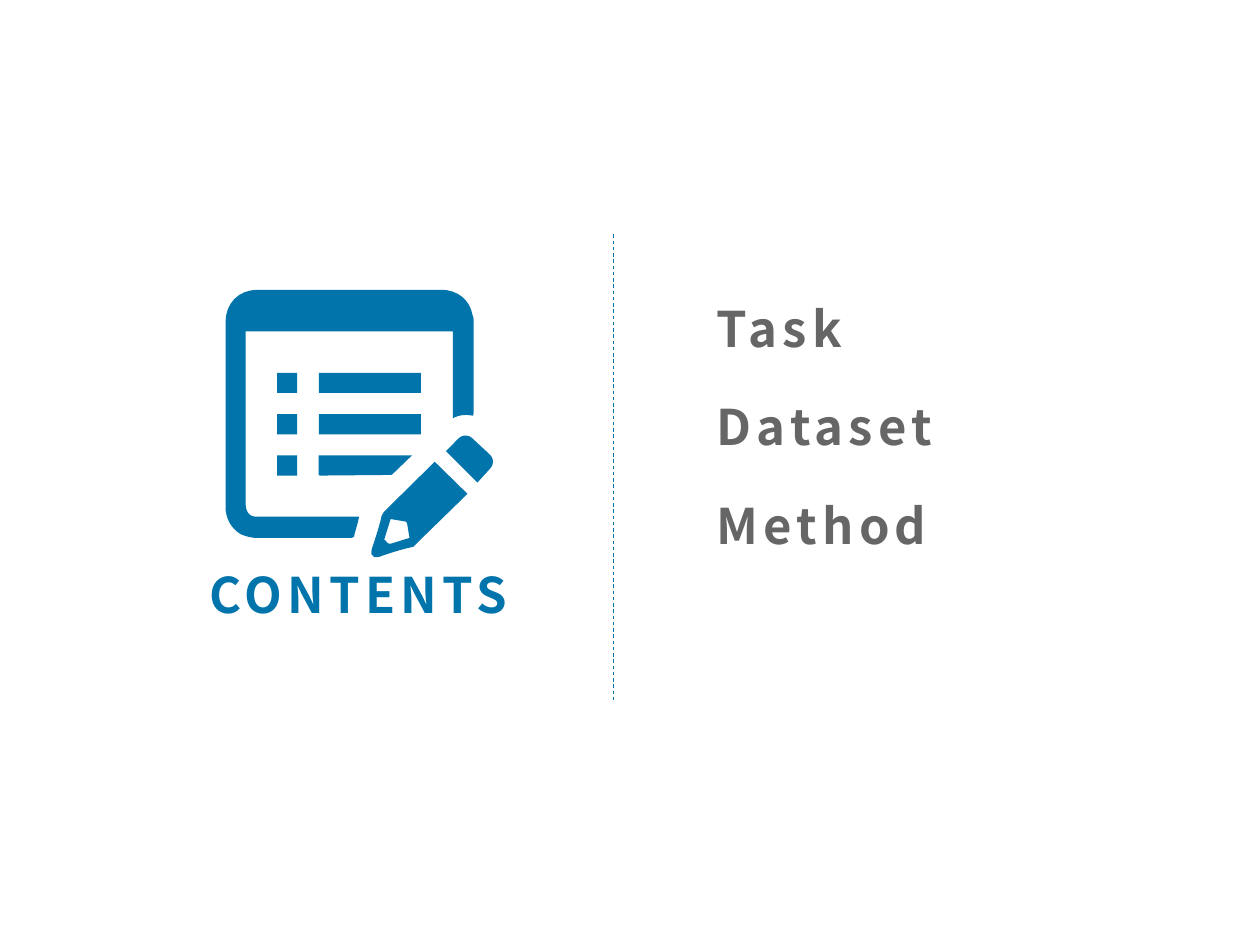
"""Builds the contents slide with its notepad icon and list of topics."""
import pptx
import pptx.dml.color
import pptx.enum.dml
import pptx.enum.shapes
import pptx.enum.text
import pptx.oxml.ns
import pptx.util
from lxml import etree

BLUE = pptx.dml.color.RGBColor(0x01, 0x74, 0xAB)
GRAY = pptx.dml.color.RGBColor(0x66, 0x66, 0x66)
FONT = "Noto Sans CJK SC"
COLS, ROWS = 1000, 750

PAD = [
    (285, 410), (284, 416, 282, 421, 281, 426), (281, 426, 280, 427, 278, 427),
    (205, 427), (200, 427, 196, 426, 191, 424), (183, 419, 179, 411, 179, 402),
    (179, 256), (179, 241, 189, 230, 205, 230), (350, 230),
    (363, 230, 373, 238, 375, 250), (376, 252, 376, 254, 376, 256),
    (376, 327), (375.5, 330), (370, 329, 365, 329, 359.5, 332),
    (359.5, 263), (195, 263), (195, 400), (195, 406, 198, 411, 205, 410),
]
BODY = [
    (345, 366.5), (371, 392), (331, 431), (330, 432, 329, 433, 328, 434),
    (319, 436, 309, 439, 301, 442), (299, 442, 297, 443, 296, 441),
    (294, 440, 295, 438, 295, 436), (298, 427, 301, 418, 303, 409),
    (304, 408, 304, 407, 305, 406),
]
TIP = [
    (310, 412), (305, 428), (305, 428, 305, 429, 306, 429),
    (308, 432, 309, 432, 312, 431), (325, 427), (323, 415),
    (323, 415, 322, 414, 322, 414),
]
END = [
    (354, 358), (364, 348), (367, 345, 372, 345, 375, 348), (389, 361),
    (392, 364, 392, 369, 389, 372), (379, 383),
]
LAST = [
    (253, 361.5), (327, 361.5), (312, 376), (311, 377, 310, 377, 309, 377),
    (254, 377.5), (253, 377),
]


def trace(path, steps=8):
    """Turn a path of points and cubic curves into plain points."""
    dots = [path[0]]
    for part in path[1:]:
        if len(part) == 2:
            dots.append(part)
            continue
        ends = [dots[-1], part[:2], part[2:4], part[4:]]
        for step in range(1, steps + 1):
            t = step / steps
            loads = ((1 - t) ** 3, 3 * t * (1 - t) ** 2, 3 * t * t * (1 - t), t ** 3)
            dots.append(tuple(sum(w * e[i] for w, e in zip(loads, ends)) for i in (0, 1)))
    return dots


def write(frame, text, size=28, color=GRAY, bold=True, space=3, align=None):
    """Put one formatted line of text into a text frame."""
    frame.word_wrap = True
    frame.auto_size = pptx.enum.text.MSO_AUTO_SIZE.SHAPE_TO_FIT_TEXT
    frame.vertical_anchor = pptx.enum.text.MSO_ANCHOR.TOP
    line = frame.paragraphs[0]
    line.alignment = align
    run = line.add_run()
    run.text = text
    run.font.name = FONT
    run.font.size = pptx.util.Pt(size)
    run.font.bold = bold
    run.font.color.rgb = color
    run.font._element.set("spc", str(space * 100))


class Deck:
    """Holds the style and the current slide, on a grid of COLS by ROWS."""

    def __init__(self, color):
        """Start a deck with one title-only slide."""
        self.color = color
        self.file = pptx.Presentation()
        self.file.slide_width = pptx.util.Inches(10)
        self.file.slide_height = pptx.util.Inches(7.5)
        self.slide = self.file.slides.add_slide(self.file.slide_layouts[5])
        self.shapes = self.slide.shapes

    def grid(self, *nums):
        """Turn alternating columns and rows into lengths."""
        units = (self.file.slide_width / COLS, self.file.slide_height / ROWS)
        return [pptx.util.Emu(round(n * units[i % 2])) for i, n in enumerate(nums)]

    def paint(self, shape):
        """Give a shape the plain fill of the style."""
        shape.shadow.inherit = False
        shape.fill.solid()
        shape.fill.fore_color.rgb = self.color
        shape.line.fill.background()

    def title(self, text, *box):
        """Place and fill the title."""
        head = self.shapes.title
        head.left, head.top, head.width, head.height = self.grid(*box)
        write(head.text_frame, text, color=self.color,
              align=pptx.enum.text.PP_ALIGN.CENTER)

    def label(self, text, *box):
        """Add a text box."""
        write(self.shapes.add_textbox(*self.grid(*box)).text_frame, text)

    def block(self, *box):
        """Add a filled rectangle."""
        kind = pptx.enum.shapes.MSO_SHAPE.RECTANGLE
        self.paint(self.shapes.add_shape(kind, *self.grid(*box)))

    def outline(self, *paths):
        """Add a filled freeform, with later paths cut out of the first."""
        rings = [[self.grid(*dot) for dot in trace(path)] for path in paths]
        pen = self.shapes.build_freeform(*rings[0][0])
        for ring in rings:
            if ring is not rings[0]:
                pen.move_to(*ring[0])
            pen.add_line_segments(ring[1:], close=True)
        self.paint(pen.convert_to_shape())

    def rule(self, *ends):
        """Add a dashed line."""
        kind = pptx.enum.shapes.MSO_CONNECTOR.STRAIGHT
        rule = self.shapes.add_connector(kind, *self.grid(*ends))
        rule.line.color.rgb = self.color
        rule.line.width = pptx.util.Pt(0.5)
        rule.line.dash_style = pptx.enum.dml.MSO_LINE.DASH
        etree.SubElement(rule._element.spPr, pptx.oxml.ns.qn("a:effectLst"))


def main():
    """Build and save the slide."""
    deck = Deck(BLUE)
    deck.rule(487, 186, 487, 557)
    for row, (text, width) in enumerate([("Task", 316), ("Dataset", 242), ("Method", 316)]):
        deck.label(text, 559, 232 + 78 * row, width, 57)
    deck.outline(PAD)
    deck.outline(BODY, TIP)
    deck.outline(END)
    for row in range(3):
        top = 296 + 32.75 * row
        deck.block(220, top, 16, 16)
        if row < 2:
            deck.block(253, top, 81, 16)
    deck.outline(LAST)
    deck.title("CONTENTS", 139, 443, 291, 57)
    deck.file.save("out.pptx")


if __name__ == "__main__":
    main()
